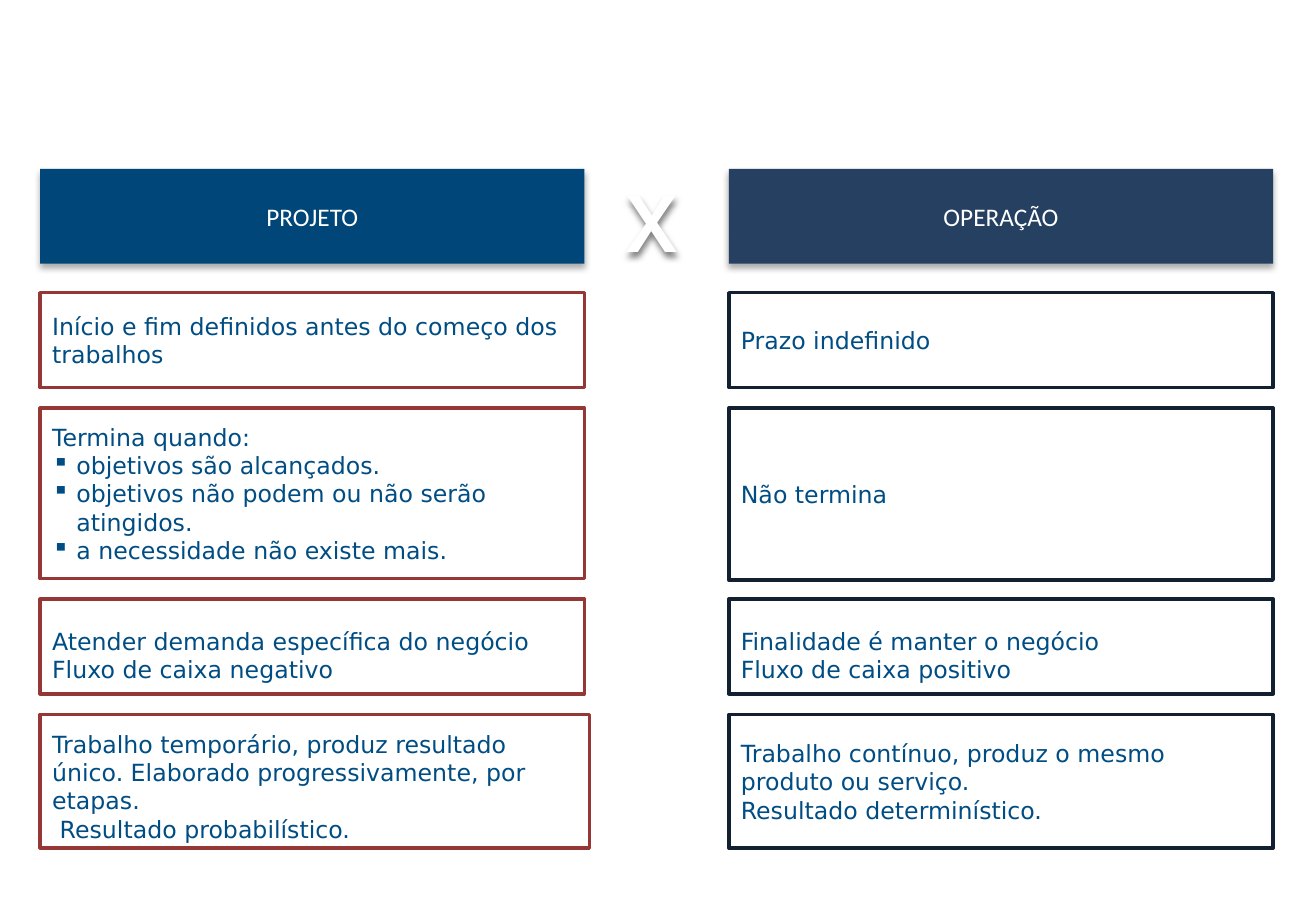
from dataclasses import dataclass

from lxml.etree import SubElement
from pptx import Presentation
from pptx.dml.color import RGBColor
from pptx.enum.shapes import MSO_SHAPE as Kind
from pptx.enum.text import MSO_ANCHOR as Anchor, PP_ALIGN as Align
from pptx.oxml.ns import qn
from pptx.util import Pt

COLORS = {
    "blue": "004678", "navy": "254061", "red": "953735", "dark": "122031",
    "text": "004D84", "white": "FFFFFF", "black": "000000",
}
HEAD_TOP, HEAD_H = 100.1, 56.2
ROW_TOP, GAP = 173.5, 12.2
ROW_H = (56.2, 101, 56.2, 79.2)
COL_W = 322.6
BULLET_IN = 14.4


@dataclass
class Line:
    text: str
    bullet: bool = False
    indent: float = 0


@dataclass
class Card:
    lines: list[Line]
    wide: float = 0
    tall: float = 0
    top: float = 3.6
    bottom: float = 3.6


@dataclass
class Column:
    title: str
    left: float
    fill: str
    edge: str
    cards: list[Card]


COLUMNS = [
    Column("PROJETO", 23.8, "blue", "red", [
        Card([Line("Início e fim definidos antes do começo dos trabalhos")]),
        Card([Line("Termina quando:"),
              Line("objetivos são alcançados.", True),
              Line("objetivos não podem ou não serão atingidos.", True),
              Line("a necessidade não existe mais.", True)]),
        Card([Line("Atender demanda específica do negócio"),
              Line("Fluxo de caixa negativo")], top=14),
        Card([Line("Trabalho temporário, produz resultado único. "
                   "Elaborado progressivamente, por etapas."),
              Line("Resultado probabilístico.", indent=4.5)],
             wide=2.9, top=7, bottom=1),
    ]),
    Column("OPERAÇÃO", 432, "navy", "dark", [
        Card([Line("Prazo indefinido")]),
        Card([Line("Não termina")], tall=1),
        Card([Line("Finalidade é manter o negócio"),
              Line("Fluxo de caixa positivo")], top=14),
        Card([Line("Trabalho contínuo, produz o mesmo produto ou serviço."),
              Line("Resultado determinístico.")]),
    ]),
]


def color(name: str) -> RGBColor:
    return RGBColor.from_string(COLORS[name])


def style(para, font: str, size: float, tint: str, align=Align.LEFT) -> None:
    para.alignment = align
    para.font.name = font
    para.font.size = Pt(size)
    para.font.color.rgb = color(tint)


def shade(shape, blur: float, dist: float, alpha: int) -> None:
    """Give the shape a soft shadow that falls straight down."""
    shape.shadow.inherit = False
    effects = shape._element.spPr.find(qn("a:effectLst"))
    outer = SubElement(effects, qn("a:outerShdw"), blurRad=str(Pt(blur)),
                       dist=str(Pt(dist)), dir="5400000", rotWithShape="0")
    tone = SubElement(outer, qn("a:srgbClr"), val=COLORS["black"])
    SubElement(tone, qn("a:alpha"), val=str(alpha * 1000))


def add_bullet(para) -> None:
    props = para._p.get_or_add_pPr()
    props.set("marL", str(Pt(BULLET_IN)))
    props.set("indent", str(-Pt(BULLET_IN)))
    tone = SubElement(props, qn("a:buClr"))
    SubElement(tone, qn("a:srgbClr"), val=COLORS["text"])
    SubElement(props, qn("a:buChar"), char="▪")


def add_box(slide, left: float, top: float, width: float, height: float):
    box = slide.shapes.add_shape(Kind.RECTANGLE, Pt(left), Pt(top),
                                 Pt(width), Pt(height))
    box.shadow.inherit = False
    box.text_frame.word_wrap = True
    box.text_frame.vertical_anchor = Anchor.MIDDLE
    return box


def add_head(slide, col: Column) -> None:
    box = add_box(slide, col.left, HEAD_TOP, COL_W, HEAD_H)
    box.fill.solid()
    box.fill.fore_color.rgb = color(col.fill)
    box.line.fill.background()
    shade(box, 3.5, 2.2, 32)
    para = box.text_frame.paragraphs[0]
    para.text = col.title
    style(para, "Calibri", 15, "white", Align.CENTER)


def add_card(slide, col: Column, card: Card, top: float, height: float) -> None:
    box = add_box(slide, col.left, top, COL_W + card.wide, height + card.tall)
    box.fill.background()
    box.line.color.rgb = color(col.edge)
    box.line.width = Pt(2)
    frame = box.text_frame
    frame.margin_top, frame.margin_bottom = Pt(card.top), Pt(card.bottom)
    for i, line in enumerate(card.lines):
        para = frame.add_paragraph() if i else frame.paragraphs[0]
        para.text = line.text
        style(para, "DejaVu Sans", 14, "text")
        if line.bullet:
            add_bullet(para)
        elif line.indent:
            para._p.get_or_add_pPr().set("marL", str(Pt(line.indent)))


def add_cross(slide) -> None:
    box = slide.shapes.add_textbox(Pt(356.4), Pt(97.9), Pt(60.5), Pt(64.8))
    box.text_frame.word_wrap = True
    shade(box, 4, 3, 50)
    para = box.text_frame.paragraphs[0]
    para.text = "X"
    style(para, "Cabin", 48, "white", Align.CENTER)
    para.font.bold = True


def main() -> None:
    deck = Presentation()
    deck.slide_width, deck.slide_height = Pt(780), Pt(540)
    slide = deck.slides.add_slide(deck.slide_layouts[6])
    for col in COLUMNS:
        add_head(slide, col)
        top = ROW_TOP
        for card, height in zip(col.cards, ROW_H):
            add_card(slide, col, card, top, height)
            top += height + GAP
    add_cross(slide)
    deck.save("out.pptx")


if __name__ == "__main__":
    main()
